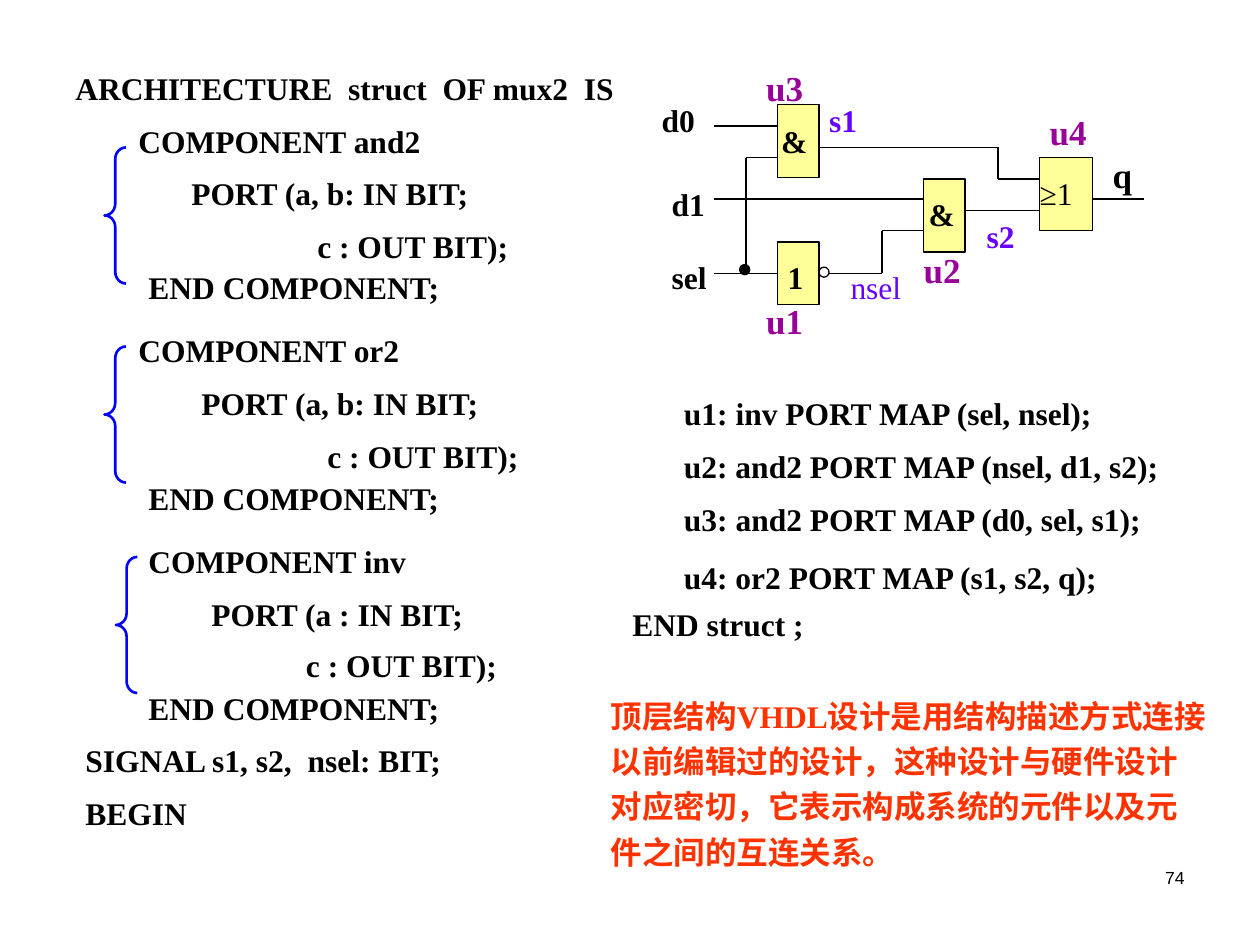
import pptx
import pptx.util
import pptx.dml.color
import pptx.enum.shapes
import pptx.enum.text
import pptx.oxml.ns
import lxml.etree

Inches = pptx.util.Inches
SHAPE = pptx.enum.shapes.MSO_SHAPE
COLORS = {"text": "000000", "gate": "FFFF99", "signal": "6600FF",
          "unit": "990099", "brace": "0000FF", "note": "FF3300"}
CODE = {"size": 18, "name": "Times New Roman", "bold": True, "color": "text"}
UNIT = {**CODE, "size": 20, "color": "unit"}
SIGNAL = {**CODE, "color": "signal"}


def add_text(text, x, y, w, h=0.4, fmt=CODE, side=0.1, edge=0.05):
    sp = s.shapes.add_textbox(Inches(x), Inches(y), Inches(w), Inches(h))
    tf = sp.text_frame
    tf.word_wrap = True
    tf.margin_left = tf.margin_right = Inches(side)
    tf.margin_top = tf.margin_bottom = Inches(edge)
    p = tf.paragraphs[0]
    r = p.add_run()
    r.text = text
    for key, value in fmt.items():
        if key == "color":
            r.font.color.rgb = pptx.dml.color.RGBColor.from_string(COLORS[value])
        else:
            setattr(r.font, key, pptx.util.Pt(value) if key == "size" else value)
    return p


def add_outline(kind, x, y, w, h, fill=None, line="text", width=0.75):
    sp = s.shapes.add_shape(kind, Inches(x), Inches(y), Inches(w), Inches(h))
    sp.shadow.inherit = False
    if fill:
        sp.fill.solid()
        sp.fill.fore_color.rgb = pptx.dml.color.RGBColor.from_string(COLORS[fill])
    else:
        sp.fill.background()
    sp.line.color.rgb = pptx.dml.color.RGBColor.from_string(COLORS[line])
    sp.line.width = pptx.util.Pt(width)
    return sp


prs = pptx.Presentation()
prs.slide_width, prs.slide_height = Inches(10), Inches(7.5)
s = prs.slides.add_slide(prs.slide_layouts[6])

for text, x, y, w in [
    ("ARCHITECTURE  struct  OF mux2  IS", 0.5, 0.5, 4.67),
    ("COMPONENT and2", 1, 0.92, 2.92),
    ("PORT (a, b: IN BIT;", 1.42, 1.33, 2.58),
    ("c : OUT BIT);", 2.42, 1.75, 2),
    ("END COMPONENT;", 1.08, 2.08, 2.58),
    ("COMPONENT or2", 1, 2.58, 2.58),
    ("PORT (a, b: IN BIT;", 1.5, 3, 2.58),
    ("c : OUT BIT);", 2.5, 3.42, 2),
    ("END COMPONENT;", 1.08, 3.75, 3),
    ("COMPONENT inv", 1.08, 4.25, 2.58),
    ("PORT (a : IN BIT;", 1.58, 4.67, 2.58),
    ("c : OUT BIT);", 2.33, 5.08, 2.08),
    ("END COMPONENT;", 1.08, 5.42, 2.75),
    ("SIGNAL s1, s2,  nsel: BIT;", 0.58, 5.83, 3.33),
    ("BEGIN", 0.58, 6.25, 1.5),
    ("u1: inv PORT MAP (sel, nsel);", 5.33, 3.08, 4.08),
    ("u2: and2 PORT MAP (nsel, d1, s2);", 5.33, 3.5, 4.33),
    ("u3: and2 PORT MAP (d0, sel, s1);", 5.33, 3.92, 4.39),
    ("u4: or2 PORT MAP (s1, s2, q);", 5.33, 4.38, 3.83),
    ("END struct ;", 4.92, 4.75, 1.92),
]:
    add_text(text, x, y, w)

for x, y in [(0.83, 1.17), (0.83, 2.75), (0.92, 4.42)]:
    sp = add_outline(SHAPE.LEFT_BRACE, x, y, 0.17, 1.08, line="brace", width=1.5)
    sp.adjustments[0] = 0.54

for x, y, w, h in [(6.17, 0.83, 0.33, 0.58), (7.33, 1.42, 0.33, 0.58),
                   (6.17, 1.92, 0.33, 0.5), (8.25, 1.25, 0.42, 0.58)]:
    add_outline(SHAPE.RECTANGLE, x, y, w, h, "gate")

for x1, y1, x2, y2 in [
    (5.67, 1, 6.17, 1), (5.67, 1.58, 7.33, 1.58), (5.67, 2.17, 6.17, 2.17),
    (5.92, 1.25, 6.17, 1.25), (5.92, 1.25, 5.92, 2.17),
    (6.58, 2.17, 7, 2.17), (7, 1.83, 7.33, 1.83), (7, 1.83, 7, 2.17),
    (7.67, 1.67, 8.25, 1.67), (6.5, 1.17, 7.92, 1.17),
    (7.92, 1.42, 8.25, 1.42), (7.92, 1.17, 7.92, 1.42),
    (8.67, 1.58, 9.08, 1.58),
]:
    sp = s.shapes.add_connector(pptx.enum.shapes.MSO_CONNECTOR.STRAIGHT,
                                Inches(x1), Inches(y1), Inches(x2), Inches(y2))
    sp.line.color.rgb = pptx.dml.color.RGBColor.from_string(COLORS["text"])
    sp.line.width = pptx.util.Pt(0.75)
    lxml.etree.SubElement(sp._element.spPr, pptx.oxml.ns.qn("a:effectLst"))

add_outline(SHAPE.OVAL, 6.5, 2.12, 0.08, 0.08)
add_outline(SHAPE.OVAL, 5.87, 2.1, 0.08, 0.08, "text")

for text, x, y, w, h, fmt in [
    ("&", 6.2, 0.92, 0.27, 0.4, CODE),
    ("&", 7.37, 1.5, 0.27, 0.4, CODE),
    ("1", 6.25, 2, 0.18, 0.4, CODE),
    ("≥1", 8.25, 1.33, 0.42, 0.4, {**CODE, "bold": False}),
    ("d0", 5.25, 0.75, 0.42, 0.4, CODE),
    ("d1", 5.33, 1.42, 0.42, 0.4, CODE),
    ("sel", 5.33, 2, 0.42, 0.4, CODE),
    ("q", 8.83, 1.17, 0.27, 0.44, {**UNIT, "color": "text"}),
    ("s1", 6.58, 0.75, 0.67, 0.4, SIGNAL),
    ("s2", 7.83, 1.67, 0.42, 0.4, SIGNAL),
    ("nsel", 6.75, 2.08, 0.75, 0.4, {**SIGNAL, "bold": False}),
    ("u1", 6.08, 2.33, 0.42, 0.44, UNIT),
    ("u2", 7.33, 1.92, 0.42, 0.44, UNIT),
    ("u4", 8.33, 0.83, 0.42, 0.44, UNIT),
]:
    add_text(text, x, y, w, h, fmt, side=0)
add_text("u3", 6.08, 0.53, 0.42, 0.33, UNIT, side=0, edge=0)

p = add_text("顶层结构VHDL设计是用结构描述方式连接以前编辑过的设计，这种设计与硬件设计对应密切，"
             "它表示构成系统的元件以及元件之间的互连关系。",
             4.75, 5.42, 4.92, 1.54, {**CODE, "color": "note"})
p.line_spacing = 1.2

p = add_text("74", 7.17, 6.83, 2.33, 0.5,
             {"size": 10, "name": "Arial", "color": "text"})
p.alignment = pptx.enum.text.PP_ALIGN.RIGHT

prs.save("out.pptx")
